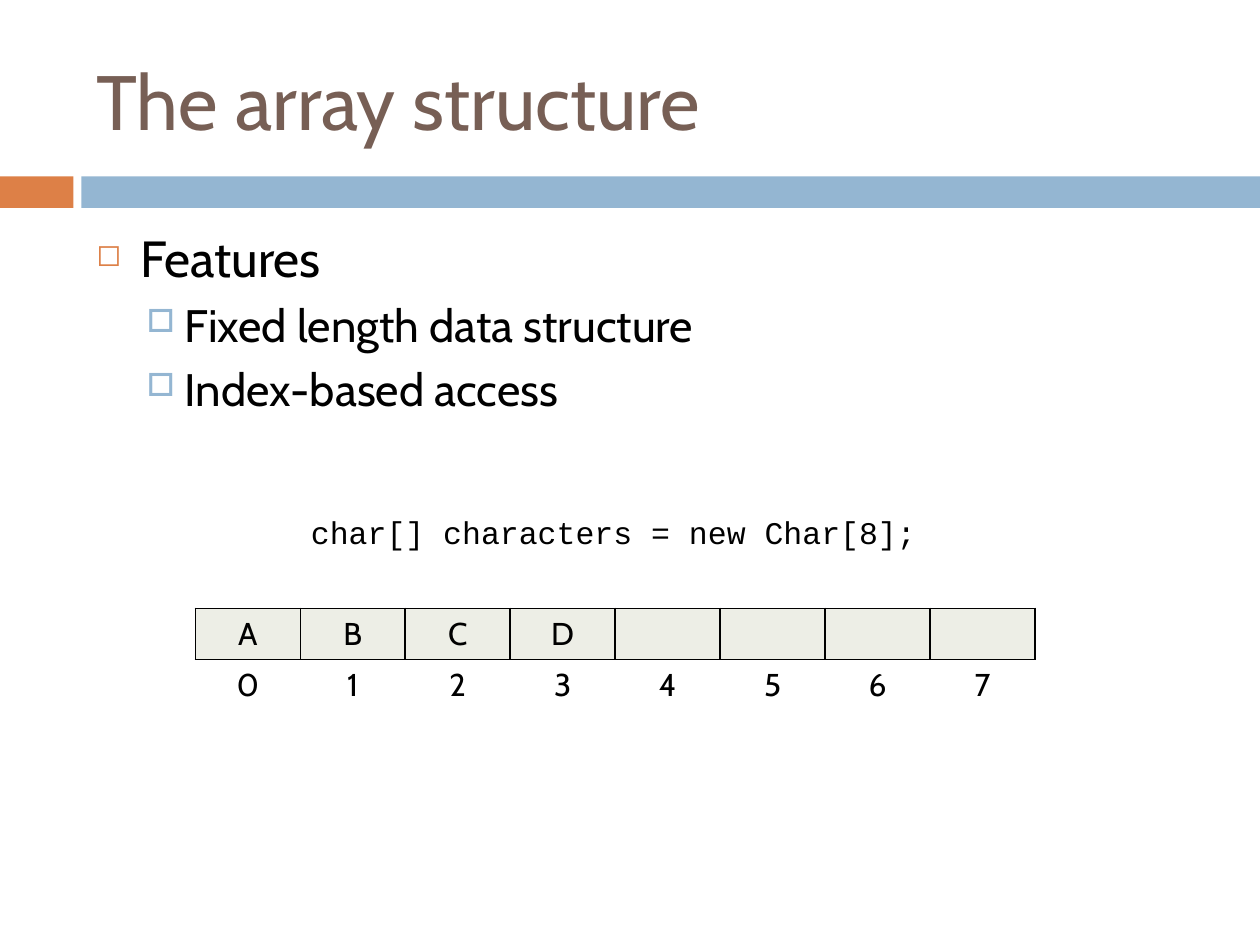
from lxml.etree import SubElement
from pptx import Presentation
from pptx.dml.color import RGBColor
from pptx.enum.shapes import MSO_SHAPE
from pptx.enum.text import MSO_ANCHOR, PP_ALIGN
from pptx.oxml.ns import qn
from pptx.util import Pt

BLACK = RGBColor(0x00, 0x00, 0x00)
BROWN = RGBColor(0x77, 0x5F, 0x55)
ORANGE = RGBColor(0xDD, 0x80, 0x47)
BLUE = RGBColor(0x94, 0xB6, 0xD2)
CELL_GREY = RGBColor(0xED, 0xEE, 0xE6)

# Content
TITLE = "The array structure"
BULLETS = [(0, "Features"), (1, "Fixed length data structure"), (1, "Index-based access")]
CODE = "char[] characters = new Char[8];"
VALUES = ["A", "B", "C", "D", "", "", "", ""]

# Left, width and colour of the header bars
BARS = [(0, 42, ORANGE), (46.5, 673.5, BLUE)]
LEVELS = [
    {"size": 29, "before": 7, "margin": 25.2, "hang": 25.2, "char": "◻", "color": ORANGE, "pct": 60},
    {"size": 26, "before": 5.5, "margin": 50.4, "hang": 21.6, "char": "□", "color": BLUE, "pct": 70},
]
COL_W, ROW_H = 60, 29.2


def add_run(p, text, size, color=BLACK, font="Cabin"):
    r = p.add_run()
    r.text = text
    for name, value in {"size": Pt(size), "name": font, "bold": False}.items():
        setattr(r.font, name, value)
    r.font.color.rgb = color


def add_text_box(s, left, top, width, height, wrap=True):
    tf = s.shapes.add_textbox(Pt(left), Pt(top), Pt(width), Pt(height)).text_frame
    tf.word_wrap = wrap
    return tf


def set_bullet(p, level):
    p.space_before = Pt(level["before"])
    pPr = p._p.get_or_add_pPr()
    pPr.set("marL", str(Pt(level["margin"])))
    pPr.set("indent", str(-Pt(level["hang"])))
    color = SubElement(pPr, qn("a:buClr"))
    SubElement(color, qn("a:srgbClr"), val=str(level["color"]))
    SubElement(pPr, qn("a:buSzPct"), val=str(level["pct"] * 1000))
    SubElement(pPr, qn("a:buChar"), char=level["char"])


def set_borders(cell, visible):
    tcPr = cell._tc.get_or_add_tcPr()
    for side in "LRTB":
        line = SubElement(tcPr, qn(f"a:ln{side}"), w=str(Pt(1)))
        if side in visible:
            fill = SubElement(line, qn("a:solidFill"))
            SubElement(fill, qn("a:srgbClr"), val=str(BLACK))
        else:
            SubElement(line, qn("a:noFill"))


prs = Presentation()
prs.slide_width, prs.slide_height = Pt(720), Pt(540)
s = prs.slides.add_slide(prs.slide_layouts[6])

# Header bars
for left, width, color in BARS:
    sp = s.shapes.add_shape(MSO_SHAPE.RECTANGLE, Pt(left), Pt(100.8), Pt(width), Pt(18))
    sp.shadow.inherit = False
    sp.fill.solid()
    sp.fill.fore_color.rgb = color
    sp.line.fill.background()

# Title
tf = add_text_box(s, 48, 18, 642, 78)
tf.vertical_anchor = MSO_ANCHOR.MIDDLE
add_run(tf.paragraphs[0], TITLE, 44, BROWN)

# Bulleted list
tf = add_text_box(s, 48, 126, 642, 354)
for i, (depth, text) in enumerate(BULLETS):
    p = tf.add_paragraph() if i else tf.paragraphs[0]
    p.level = depth
    set_bullet(p, LEVELS[depth])
    add_run(p, text, LEVELS[depth]["size"])

# Array cells with their indexes below
rows = [VALUES, [str(i) for i in range(len(VALUES))]]
table = s.shapes.add_table(len(rows), len(VALUES), Pt(111.6), Pt(347.6),
                           Pt(COL_W * len(VALUES)), Pt(ROW_H * len(rows))).table
table.first_row = table.horz_banding = False
for column in table.columns:
    column.width = Pt(COL_W)
for y, row in enumerate(rows):
    table.rows[y].height = Pt(ROW_H)
    for x, text in enumerate(row):
        cell = table.cell(y, x)
        set_borders(cell, "T" if y else "LRTB")
        if y:
            cell.fill.background()
        else:
            cell.fill.solid()
            cell.fill.fore_color.rgb = CELL_GREY
        p = cell.text_frame.paragraphs[0]
        p.alignment = PP_ALIGN.CENTER
        if text:
            add_run(p, text, 18)

# Declaration
tf = add_text_box(s, 170.6, 289.4, 362, 29, wrap=False)
add_run(tf.paragraphs[0], CODE, 18, font="Courier New")

prs.save("out.pptx")
